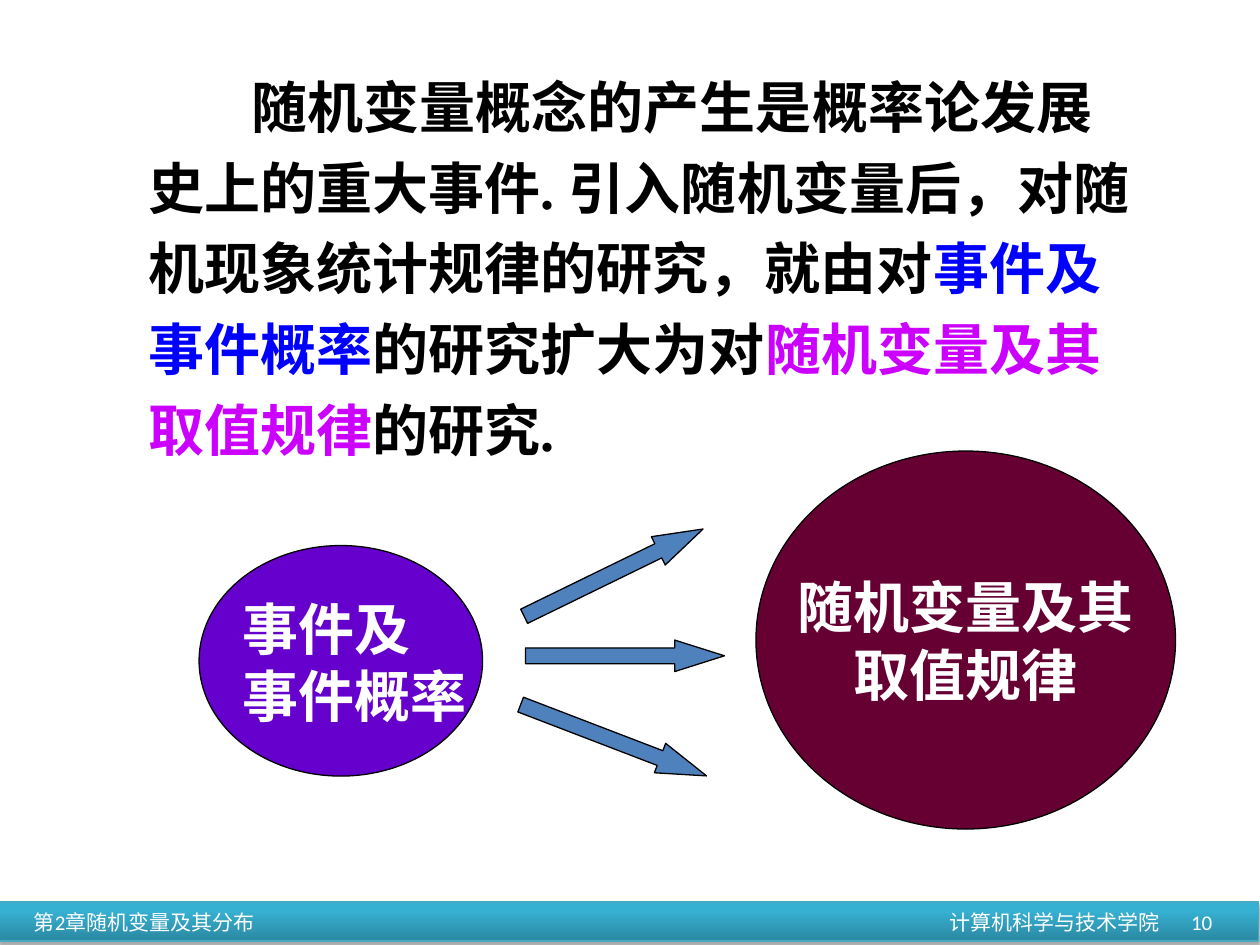
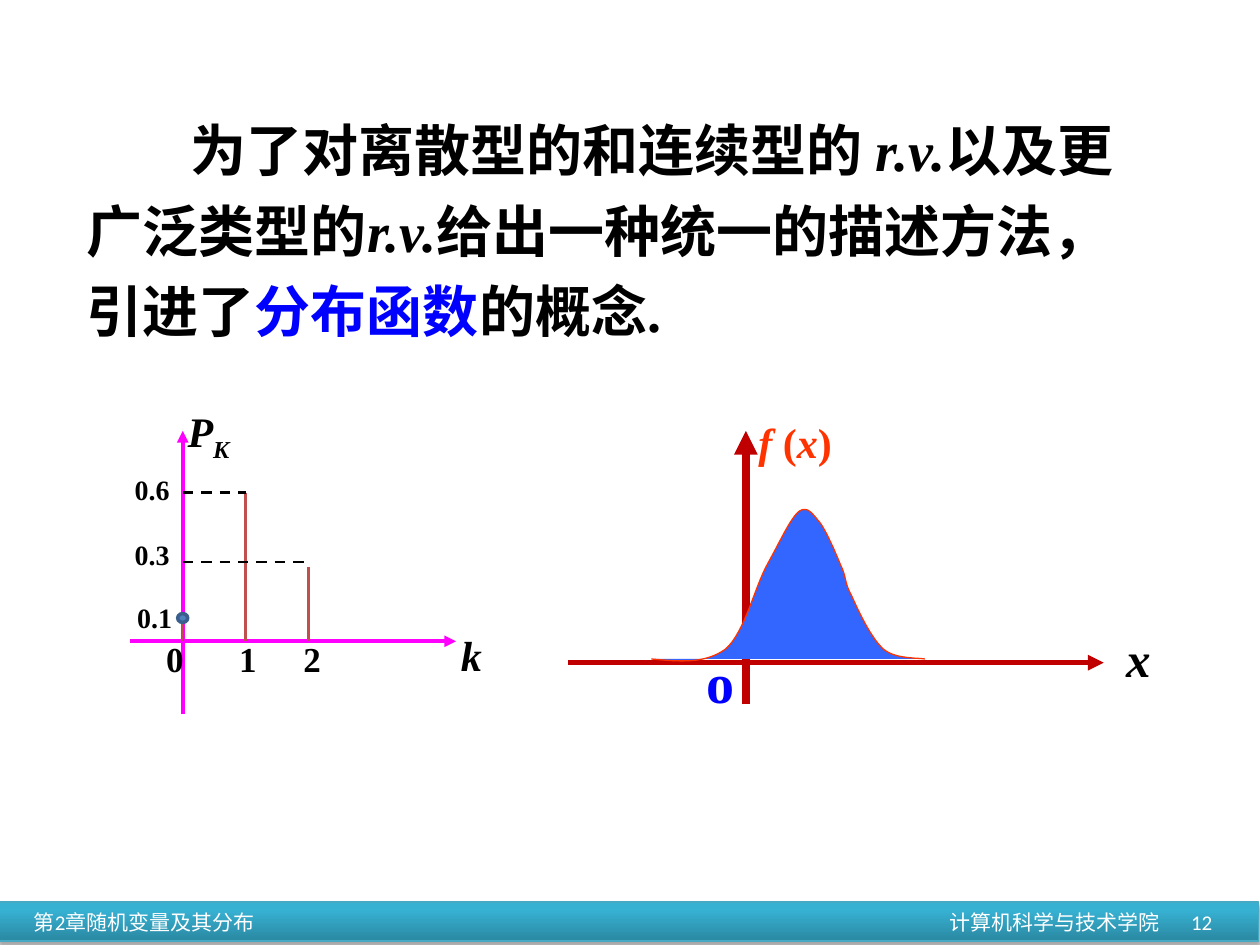
import pptx
import pptx.dml.color
import pptx.enum.dml
import pptx.enum.shapes
import pptx.enum.text
import pptx.oxml
import pptx.oxml.ns
import pptx.util

RGBColor = pptx.dml.color.RGBColor
SHAPE = pptx.enum.shapes.MSO_SHAPE
ALIGN = pptx.enum.text.PP_ALIGN
MIDDLE = pptx.enum.text.MSO_ANCHOR.MIDDLE

PX = 9144  # 100 px to the inch

BLACK = RGBColor(0x00, 0x00, 0x00)
WHITE = RGBColor(0xFF, 0xFF, 0xFF)
BLUE = RGBColor(0x00, 0x00, 0xFF)
MAGENTA = RGBColor(0xFF, 0x00, 0xFF)
ORCHID = RGBColor(0xCC, 0x00, 0xFF)
VIOLET = RGBColor(0x66, 0x00, 0xCC)
WINE = RGBColor(0x66, 0x00, 0x33)
STEEL = RGBColor(0x4F, 0x81, 0xBD)
DARK_STEEL = RGBColor(0x3A, 0x5F, 0x8C)
DARK_RED = RGBColor(0xC0, 0x00, 0x00)
BRICK = RGBColor(0xC0, 0x50, 0x4D)
ORANGE = RGBColor(0xFF, 0x33, 0x00)
CURVE_BLUE = RGBColor(0x33, 0x66, 0xFF)
BAND_DARK = RGBColor(0x2A, 0x88, 0xA2)
BAND_LIGHT = RGBColor(0x37, 0xB1, 0xD2)
BAND_EDGE = RGBColor(0x46, 0xAA, 0xC5)

SERIF = "Times New Roman"
FOOTER_FORMAT = dict(font="Calibri", size=12, color=WHITE, bold=False)
BODY_FORMAT = dict(wrap=True, line_spacing=1.2, indent=82)

BAND_SHADOW = (
    '<a:effectLst %s><a:outerShdw blurRad="39370" dist="22860" dir="5400000" '
    'rotWithShape="0"><a:srgbClr val="000000"><a:alpha val="35000"/></a:srgbClr>'
    "</a:outerShdw></a:effectLst>" % pptx.oxml.ns.nsdecls("a")
)


def px(*lengths):
    return [pptx.util.Emu(round(length * PX)) for length in lengths]


def write_text(frame, paragraphs, font=SERIF, size=32, color=BLACK, bold=True,
               italic=False, align=ALIGN.LEFT, anchor=None, wrap=False,
               line_spacing=None, indent=0):
    """Fill a frame; each paragraph is a string or a list of (text, changes)."""
    frame.word_wrap = wrap
    if anchor is not None:
        frame.vertical_anchor = anchor
    for number, spans in enumerate(paragraphs):
        para = frame.add_paragraph() if number else frame.paragraphs[0]
        para.alignment = align
        if line_spacing:
            para.line_spacing = line_spacing
        if indent:
            para._p.get_or_add_pPr().set("indent", str(indent * PX))
        if isinstance(spans, str):
            spans = [(spans, {})]
        for text, changes in spans:
            span = para.add_run()
            span.text = text
            span.font.name = font
            span.font.size = pptx.util.Pt(size)
            span.font.bold = bold
            span.font.italic = changes.get("italic", italic)
            span.font.color.rgb = changes.get("color", color)
            if "baseline" in changes:
                span._r.get_or_add_rPr().set("baseline", str(changes["baseline"] * 1000))


def add_text(page, place, paragraphs, **text_format):
    box = page.shapes.add_textbox(*px(*place))
    write_text(box.text_frame, paragraphs, **text_format)


def paint(shape, fill, line, weight=0.75):
    shape.shadow.inherit = False
    shape.fill.solid()
    shape.fill.fore_color.rgb = fill
    shape.line.color.rgb = line
    shape.line.width = pptx.util.Pt(weight)


def add_filled(page, kind, place, fill, line=BLACK, weight=0.75):
    shape = page.shapes.add_shape(kind, *px(*place))
    paint(shape, fill, line, weight)
    return shape


def add_block_arrow(page, left, top, rotation):
    arrow = add_filled(page, SHAPE.RIGHT_ARROW, (left, top, 158, 25), STEEL)
    arrow.adjustments[0] = 0.5
    arrow.adjustments[1] = 1.58
    arrow.rotation = rotation


def add_line(page, ends, color, weight, dashed=False, arrow=False):
    line = page.shapes.add_connector(
        pptx.enum.shapes.MSO_CONNECTOR.STRAIGHT, *px(*ends))
    line.line.color.rgb = color
    line.line.width = pptx.util.Pt(weight)
    if dashed:
        line.line.dash_style = pptx.enum.dml.MSO_LINE.DASH
    if arrow:
        head = pptx.oxml.parse_xml(
            '<a:tailEnd %s type="triangle"/>' % pptx.oxml.ns.nsdecls("a"))
        line.line._get_or_add_ln().append(head)
    line._element.spPr.append(
        pptx.oxml.parse_xml("<a:effectLst %s/>" % pptx.oxml.ns.nsdecls("a")))


def bezier_points(start, curves, steps=16):
    """Sample a chain of cubic curves, each given as two controls and an end."""
    points = [start]
    for first, second, end in curves:
        for step in range(1, steps + 1):
            t = step / steps
            weights = ((1 - t) ** 3, 3 * t * (1 - t) ** 2, 3 * t * t * (1 - t), t ** 3)
            corners = (start, first, second, end)
            points.append(tuple(
                sum(weight * corner[axis] for weight, corner in zip(weights, corners))
                for axis in (0, 1)))
        start = end
    return points


def add_curve(page, start, curves, fill, line):
    points = [px(*point) for point in bezier_points(start, curves)]
    builder = page.shapes.build_freeform(*points[0])
    builder.add_line_segments(points[1:], close=False)
    paint(builder.convert_to_shape(), fill, line)


def add_page(deck, number):
    """Add a blank page with the footer band and its page number."""
    page = deck.slides.add_slide(deck.slide_layouts[6])
    band = add_filled(page, SHAPE.RECTANGLE, (-1, 716, 1000, 31), BAND_LIGHT, BAND_EDGE)
    band.fill.gradient()
    band.fill.gradient_angle = 90
    for stop, color, position in zip(
            band.fill.gradient_stops, (BAND_DARK, BAND_LIGHT), (0, 0.8)):
        stop.color.rgb = color
        stop.position = position
    properties = band._element.spPr
    properties.remove(properties.find(pptx.oxml.ns.qn("a:effectLst")))
    properties.append(pptx.oxml.parse_xml(BAND_SHADOW))

    footer = dict(FOOTER_FORMAT, anchor=MIDDLE, wrap=True)
    add_text(page, (17, 712, 300, 40), ["第2章随机变量及其分布"], **footer)
    add_text(page, (630, 712, 300, 40), ["计算机科学与技术学院"],
             align=ALIGN.RIGHT, **footer)
    add_text(page, (739, 712, 233, 40), [str(number)], align=ALIGN.RIGHT, **footer)
    return page


def add_concept_page(deck):
    page = add_page(deck, 10)
    add_text(page, (108, 42, 808, 333), [[
        ("随机变量概念的产生是概率论发展史上的重大事件. 引入随机变量后，"
         "对随机现象统计规律的研究，就由对", {}),
        ("事件及事件概率", {"color": BLUE}),
        ("的研究扩大为对", {}),
        ("随机变量及其取值规律", {"color": ORCHID}),
        ("的研究.", {}),
    ]], **BODY_FORMAT)
    add_filled(page, SHAPE.OVAL, (158, 433, 225, 183), VIOLET)
    add_text(page, (183, 467, 200, 118), ["事件及", "事件概率"], color=WHITE)
    for left, top, rotation in ((417, 508, 0), (408, 442, 334), (408, 575, 21)):
        add_block_arrow(page, left, top, rotation)
    variable = add_filled(page, SHAPE.OVAL, (600, 358, 333, 300), WINE)
    write_text(variable.text_frame, ["随机变量及其", "取值规律"],
               color=WHITE, align=ALIGN.CENTER, anchor=MIDDLE)


def add_density_graph(page):
    add_text(page, (592, 326, 79, 50), [[
        ("f ", {}), ("(", {"italic": False}), ("x", {}), (")", {"italic": False}),
    ]], size=24, color=ORANGE, italic=True)
    add_text(page, (884, 494, 40, 57), ["x"], size=28, italic=True)
    add_line(page, (451, 526, 876, 526), DARK_RED, 3, arrow=True)
    add_text(page, (551, 509, 42, 63), ["o"], color=BLUE, wrap=True)
    add_line(page, (592, 559, 592, 342), DARK_RED, 4.5, arrow=True)
    add_curve(page, (517, 523), [
        ((539, 525), (560, 527), (576, 515)),
        ((591, 502), (599, 466), (609, 448)),
        ((619, 430), (627, 412), (634, 406)),
        ((641, 401), (645, 408), (651, 415)),
        ((656, 422), (663, 438), (667, 448)),
        ((672, 458), (670, 462), (676, 473)),
        ((681, 484), (691, 506), (701, 515)),
        ((710, 523), (728, 522), (734, 523)),
    ], CURVE_BLUE, ORANGE)


def add_probability_graph(page):
    axis_x, axis_y = 145, 509
    add_line(page, (103, axis_y, 362, axis_y), MAGENTA, 2.25, arrow=True)
    add_line(page, (axis_x, 567, axis_x, 342), MAGENTA, 2.25, arrow=True)
    for x, top, weight in ((195, 391, 1.5), (245, 450, 1.5), (axis_x, 492, 0.75)):
        add_line(page, (x, top, x, axis_y), BRICK, weight)
    for y, right in ((446, 245), (391, 195)):
        add_line(page, (axis_x, y, right, y), BLACK, 1.5, dashed=True)
    for label, left, top in (("0.1", 99, 472), ("0.3", 97, 422), ("0.6", 97, 370)):
        add_text(page, (left, top, 48, 37), [label], size=16)
    for label, left in (("0", 122), ("1", 180), ("2", 231)):
        add_text(page, (left, 501, 34, 43), [label], size=20)
    add_text(page, (356, 495, 37, 50), ["k"], size=24, italic=True)
    add_text(page, (139, 317, 55, 50), [[("P", {}), ("K", {"baseline": -25})]],
             size=24, italic=True)
    add_filled(page, SHAPE.OVAL, (141, 487, 8, 7), STEEL, DARK_STEEL, 2)


def add_distribution_page(deck):
    page = add_page(deck, 12)
    add_text(page, (59, 76, 861, 204), [[
        ("为了对离散型的和连续型的 ", {}),
        ("r.v.", {"italic": True}),
        ("以及更广泛类型的", {}),
        ("r.v.", {"italic": True}),
        ("给出一种统一的描述方法，引进了", {}),
        ("分布函数", {"color": BLUE}),
        ("的概念.", {}),
    ]], **BODY_FORMAT)
    add_density_graph(page)
    add_probability_graph(page)


def main():
    deck = pptx.Presentation()
    deck.slide_width, deck.slide_height = px(1000, 750)
    add_concept_page(deck)
    add_distribution_page(deck)
    deck.save("out.pptx")


if __name__ == "__main__":
    main()
